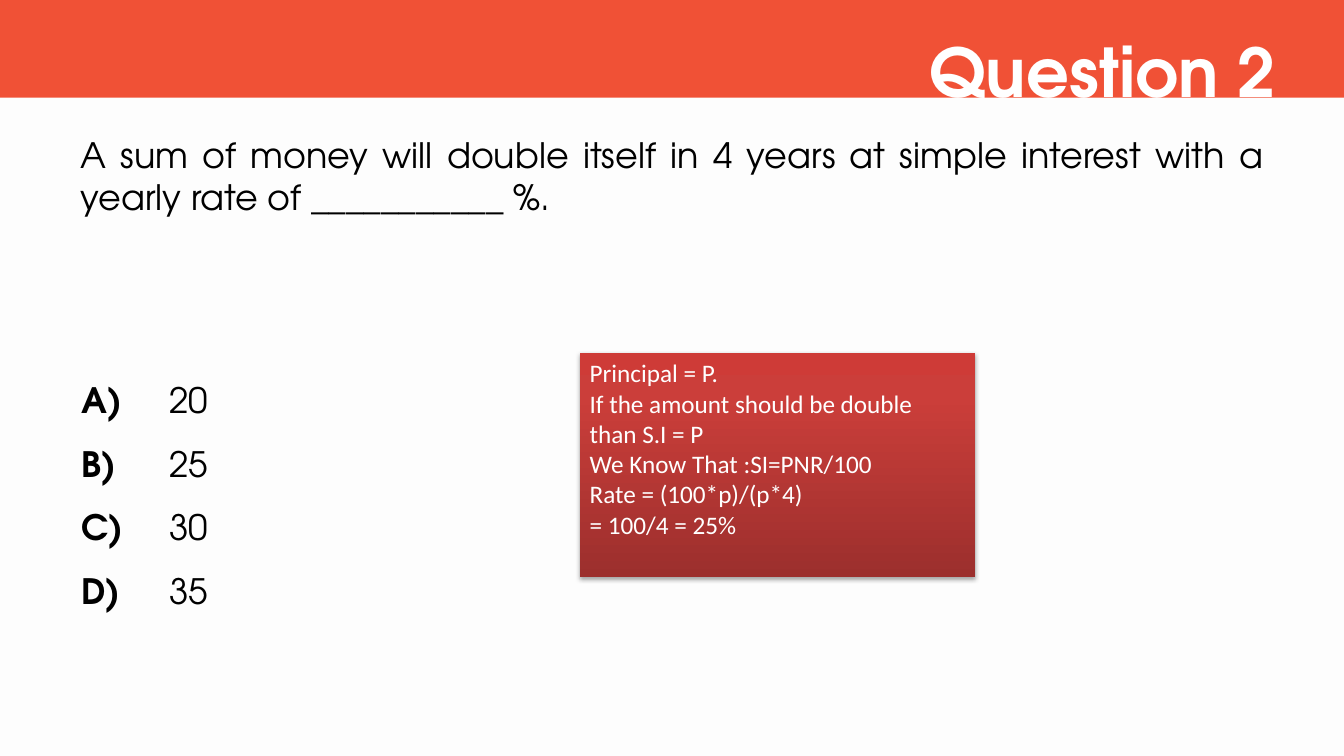
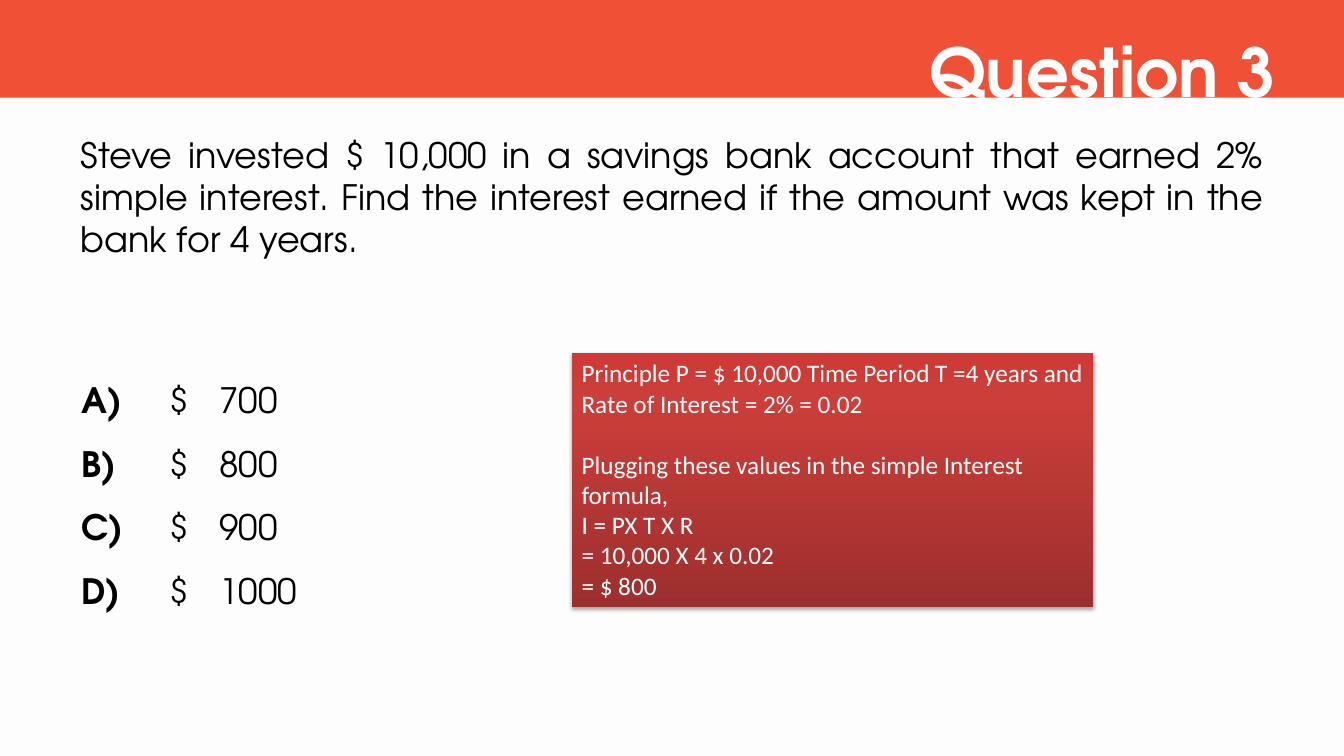
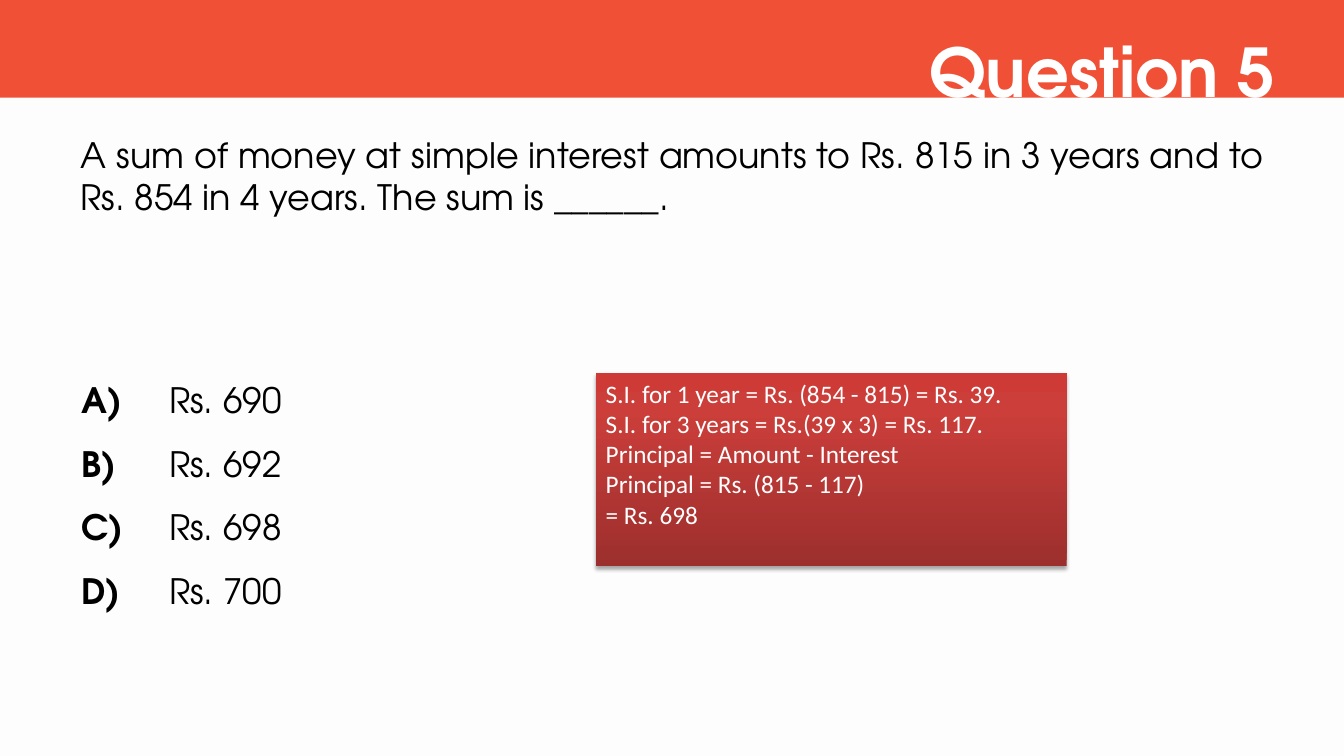
from lxml import etree
from pptx import Presentation
from pptx.dml.color import RGBColor
from pptx.enum.shapes import MSO_SHAPE
from pptx.enum.text import MSO_ANCHOR, MSO_AUTO_SIZE, PP_ALIGN
from pptx.oxml.ns import qn
from pptx.util import Pt

RECTANGLE = MSO_SHAPE.RECTANGLE
TOP = MSO_ANCHOR.TOP
GROW, FIXED = MSO_AUTO_SIZE.SHAPE_TO_FIT_TEXT, MSO_AUTO_SIZE.NONE
LEFT, RIGHT, JUSTIFY = PP_ALIGN.LEFT, PP_ALIGN.RIGHT, PP_ALIGN.JUSTIFY

# Content: each explanation is a list of blocks of lines
QUESTIONS = [
    {
        "title": "Question 2",
        "question": "A sum of money will double itself in 4 years at simple interest "
                    "with a yearly rate of ___________ %.",
        "question_height": 94,
        "options": ["20", "25", "30", "35"],
        "explanation": [[
            "Principal = P.",
            "If the amount should be double than S.I = P",
            "We Know That :SI=PNR/100",
            "Rate = (100*p)/(p*4)",
            "= 100/4 = 25%",
        ]],
        "explanation_box": (575, 350, 392, 222),
    },
    {
        "title": "Question 3",
        "question": "Steve invested $ 10,000 in a savings bank account that earned 2% "
                    "simple interest. Find the interest earned if the amount was kept "
                    "in the bank for 4 years.",
        "question_height": 136,
        "options": ["$\t700", "$\t800", "$\t900", "$\t1000"],
        "explanation": [
            ["Principle P = $ 10,000 Time Period T =4 years "
             "and Rate of Interest = 2% = 0.02"],
            ["Plugging these values in the simple Interest formula,",
             "I = PX T X R",
             "= 10,000 X 4 x 0.02",
             "= $ 800"],
        ],
        "explanation_box": (567, 350, 517, 252),
    },
    {
        "title": "Question 5",
        "question": "A sum of money at simple interest amounts to Rs. 815 in 3 years "
                    "and to Rs. 854 in 4 years. The sum is ______.",
        "question_height": 94,
        "options": ["Rs. 690", "Rs. 692", "Rs. 698", "Rs. 700"],
        "explanation": [[
            "S.I. for 1 year = Rs. (854 - 815) = Rs. 39.",
            "S.I. for 3 years = Rs.(39 x 3) = Rs. 117.",
            "Principal = Amount - Interest",
            "Principal = Rs. (815 - 117)",
            "= Rs. 698",
        ]],
        "explanation_box": (591, 370, 467, 192),
    },
]


class Theme:
    display, text = "TeX Gyre Adventor", "Calibri"
    title_size, question_size, explanation_size = 48, 25, 18
    block_gap = 22
    paper, band = "FDFDFD", "F05136"
    ink, white, shadow = "000000", "FFFFFF", "000000"
    gradient = [(0, "9C2F2D"), (80, "CB3E3A"), (100, "CE3B37")]


# Geometry in px, 100 px to the inch
PX = 9144
SLIDE_W, SLIDE_H = 1333, 750
BAND_BOX = (0, 0, SLIDE_W, 97)
TITLE_BOX = (425, 25, 850, 91)
QUESTION_LEFT, QUESTION_TOP, QUESTION_W = 70, 127, 1193
OPTIONS_TOP, OPTION_PITCH, OPTION_H = 350, 63, 68
LETTER_LEFT, LETTER_W = 71, 76
VALUE_LEFT, VALUE_W = 158, 1104
AMOUNT_TAB = 38


def px(*lengths):
    return [length * PX for length in lengths]


def place(shape, box):
    shape.left, shape.top, shape.width, shape.height = px(*box)


def write(shape, lines, size, color, font=Theme.display, bold=False,
          align=LEFT, spacing=1.0, fit=GROW, tab=None):
    """Fill a shape with plain, unbulleted paragraphs and return them."""
    frame = shape.text_frame
    frame.text = "\n".join(lines)
    frame.word_wrap = True
    frame.auto_size = fit
    frame.vertical_anchor = TOP
    for paragraph in frame.paragraphs:
        properties = paragraph._p.get_or_add_pPr()
        properties.set("marL", "0")
        properties.set("indent", "0")
        etree.SubElement(properties, qn("a:buNone"))
        if tab:
            stops = etree.SubElement(properties, qn("a:tabLst"))
            etree.SubElement(stops, qn("a:tab"), pos=str(tab * PX), algn="l")
        paragraph.alignment = align
        paragraph.line_spacing = spacing
        paragraph.space_before = Pt(0)
        for run in paragraph.runs:
            run.font.name = font
            run.font.size = Pt(size)
            run.font.bold = bold
            run.font.color.rgb = RGBColor.from_string(color)
    return frame.paragraphs


def add_panel(slide, box):
    panel = slide.shapes.add_shape(RECTANGLE, *px(*box))
    panel.shadow.inherit = False
    panel.line.fill.background()
    return panel


def add_color(parent, color):
    return etree.SubElement(parent, qn("a:srgbClr"), val=color)


def add_explanation(slide, blocks, box):
    panel = add_panel(slide, box)
    panel.fill.gradient()
    panel.fill.gradient_angle = 90
    properties = panel.element.spPr

    # Three gradient stops
    stops = properties.find(".//" + qn("a:gsLst"))
    for stop in list(stops):
        stops.remove(stop)
    for percent, color in Theme.gradient:
        add_color(etree.SubElement(stops, qn("a:gs"), pos=str(percent * 1000)), color)

    # Soft shadow below
    shadow = etree.SubElement(
        properties.find(qn("a:effectLst")), qn("a:outerShdw"),
        blurRad=str(Pt(3.1)), dist=str(Pt(1.8)), dir="5400000", rotWithShape="0")
    etree.SubElement(add_color(shadow, Theme.shadow), qn("a:alpha"), val="35000")

    # Lines, with a gap between blocks
    lines = [line for block in blocks for line in block]
    paragraphs = write(panel, lines, Theme.explanation_size, Theme.white,
                       font=Theme.text, fit=FIXED)
    start = 0
    for block in blocks[:-1]:
        start += len(block)
        paragraphs[start].space_before = Pt(Theme.block_gap)


def add_options(slide, options):
    for row, (letter, value) in enumerate(zip("ABCD", options)):
        top = OPTIONS_TOP + row * OPTION_PITCH
        for text, left, width, bold in (
            (letter + ")", LETTER_LEFT, LETTER_W, True),
            (value, VALUE_LEFT, VALUE_W, False),
        ):
            option = slide.shapes.add_textbox(*px(left, top, width, OPTION_H))
            write(option, [text], Theme.question_size, Theme.ink, bold=bold,
                  spacing=1.5, tab=AMOUNT_TAB if "\t" in text else None)


def add_question(prs, layout, content):
    slide = prs.slides.add_slide(layout)
    title, question = slide.placeholders
    place(title, TITLE_BOX)
    write(title, [content["title"]], Theme.title_size, Theme.white,
          bold=True, align=RIGHT)
    place(question, (QUESTION_LEFT, QUESTION_TOP, QUESTION_W,
                     content["question_height"]))
    write(question, [content["question"]], Theme.question_size, Theme.ink,
          align=JUSTIFY)
    add_options(slide, content["options"])
    add_explanation(slide, content["explanation"], content["explanation_box"])
    return slide


def main():
    prs = Presentation()
    prs.slide_width, prs.slide_height = px(SLIDE_W, SLIDE_H)
    layout = prs.slide_layouts[1]

    # Shared background
    paper = prs.slide_master.background.fill
    paper.solid()
    paper.fore_color.rgb = RGBColor.from_string(Theme.paper)

    slides = [add_question(prs, layout, content) for content in QUESTIONS]

    # Shared band, drawn once and moved to the layout
    band = add_panel(slides[0], BAND_BOX)
    band.fill.solid()
    band.fill.fore_color.rgb = RGBColor.from_string(Theme.band)
    layout.shapes.element.insert(2, band.element)

    prs.save("out.pptx")


if __name__ == "__main__":
    main()
